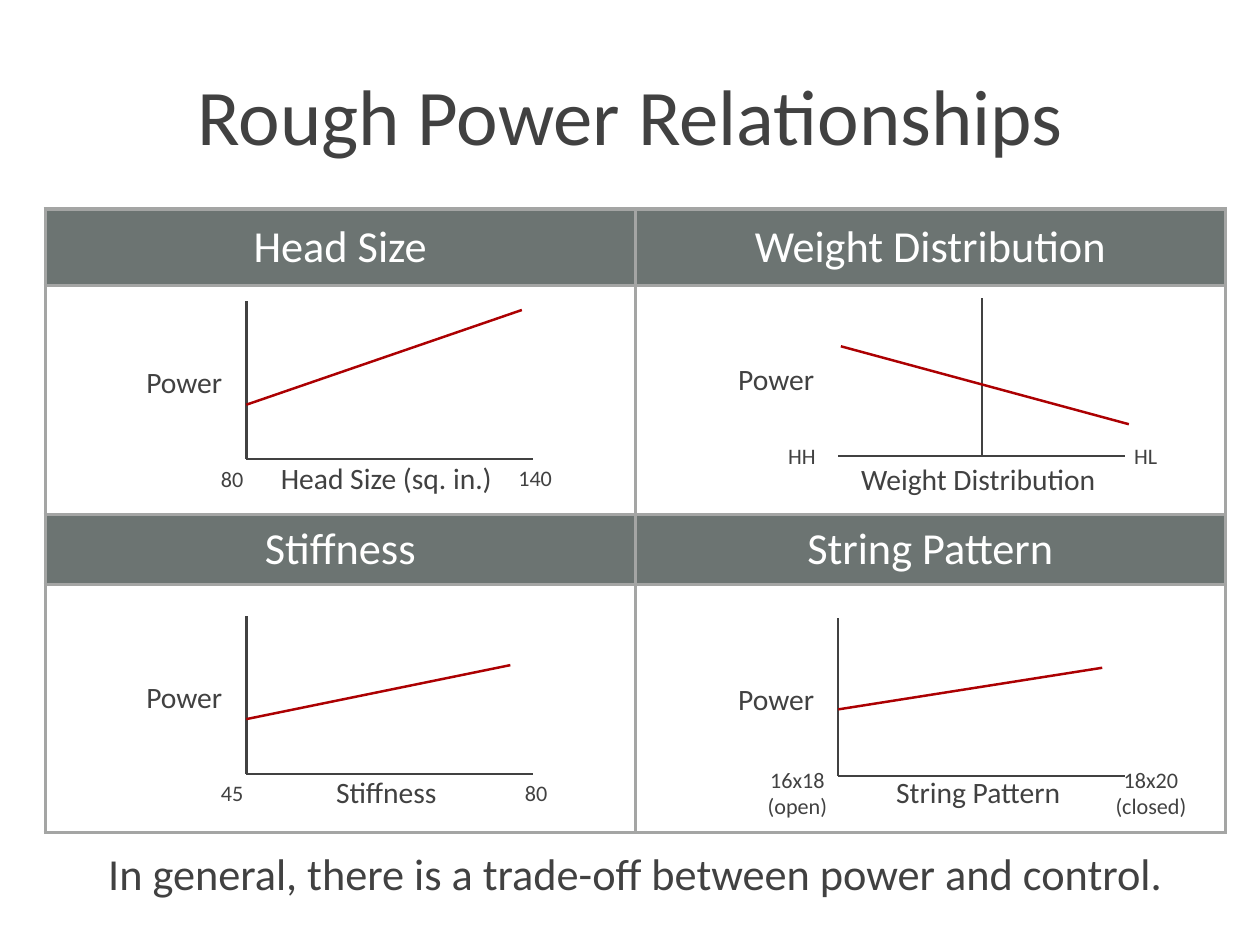
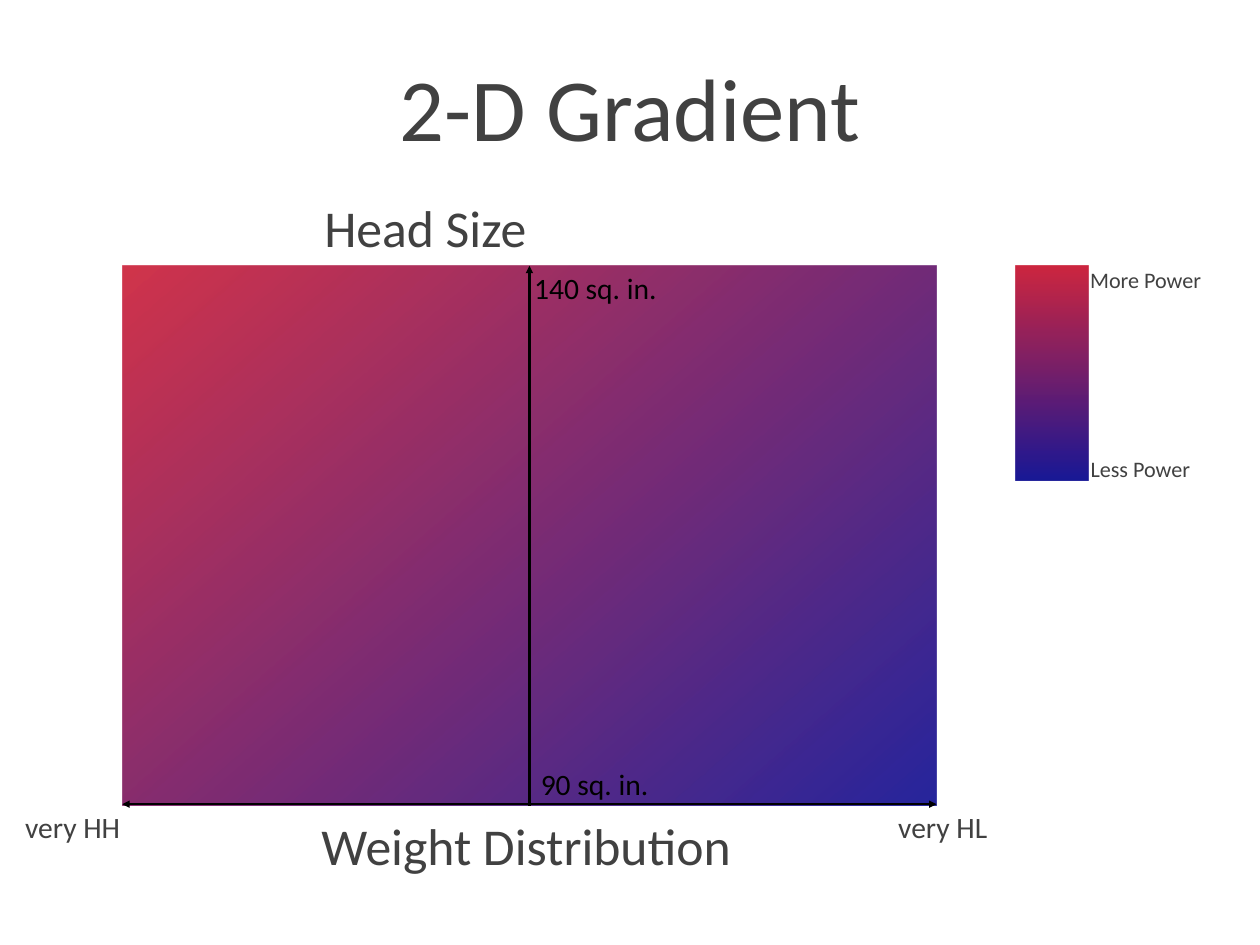
import pptx
import pptx.util
import pptx.dml.color
import pptx.enum.shapes
import pptx.enum.text
import pptx.oxml.ns
from lxml import etree

WIDTH, HEIGHT = 14.22, 10.67
FONT = "Calibri"
COLOURS = {"ink": "414141", "white": "FFFFFF", "band": "6C7472", "grid": "A4A5A4",
           "trend": "AC0002", "black": "000000"}
POWER_STOPS = [(0, "C9112C"), (51, "64085C"), (100, "00008C")]

TABLE_LEFT, TABLE_TOP, TABLE_WIDTH = 0.51, 2.36, 13.32
ROW_HEIGHTS = [0.86, 2.59, 0.79, 2.8]
HEADINGS = {0: ["Head Size", "Weight Distribution"], 2: ["Stiffness", "String Pattern"]}
CAPTION = "In general, there is a trade-off between power and control."

# All plot offsets are measured from the left end of the horizontal axis.
AXIS_WIDTH, AXIS_HEIGHT = 3.24, 1.78
POWER_OFFSET = (-0.7, -0.87)
NAME_OFFSET = 1.58
PLOTS = [
    {"name": "Head Size (sq. in.)", "origin": (2.78, 5.18), "upright": 0, "name_drop": 0.21,
     "trend": [(0, -0.61), (3.11, -1.68)],
     "ends": [("80", -0.16, 0.23), ("140", 3.26, 0.21)]},
    {"name": "Weight Distribution", "origin": (9.46, 5.15), "upright": 0.5, "name_drop": 0.25,
     "trend": [(0.03, -1.24), (3.28, -0.36)],
     "ends": [("HH", -0.41, 0), ("HL", 3.47, 0)]},
    {"name": "Stiffness", "origin": (2.78, 8.74), "upright": 0, "name_drop": 0.2,
     "trend": [(0, -0.62), (2.98, -1.23)],
     "ends": [("45", -0.16, 0.21), ("80", 3.27, 0.21)]},
    {"name": "String Pattern", "origin": (9.46, 8.76), "upright": 0, "name_drop": 0.18,
     "trend": [(0, -0.75), (2.98, -1.22)],
     "ends": [("16x18\n(open)", -0.46, 0.19), ("18x20\n(closed)", 3.53, 0.19)]},
]

MAP_LEFT, MAP_TOP, MAP_WIDTH, MAP_HEIGHT = 1.38, 3, 9.19, 6.1
KEY_LEFT, KEY_WIDTH, KEY_HEIGHT = 11.46, 0.83, 2.43
# Text, centre x, centre y, size, colour
MAP_LABELS = [
    ("Head Size", 4.8, 2.56, 42, "ink"),
    ("Weight Distribution", 5.94, 9.54, 42, "ink"),
    ("very HH", 0.82, 9.33, 24, "ink"),
    ("very HL", 10.64, 9.33, 24, "ink"),
    ("140 sq. in.", 6.72, 3.25, 24, "black"),
    ("90 sq. in.", 6.71, 8.85, 24, "black"),
    ("More Power", 12.93, 3.16, 18, "ink"),
    ("Less Power", 12.87, 5.29, 18, "ink"),
]

inch = pptx.util.Inches
qn = pptx.oxml.ns.qn


def rgb(name):
    return pptx.dml.color.RGBColor.from_string(COLOURS[name])


def add_centred_text(paragraph, text, size, colour):
    paragraph.alignment = pptx.enum.text.PP_ALIGN.CENTER
    for number, line in enumerate(text.split("\n")):
        if number:
            paragraph.add_line_break()
        run = paragraph.add_run()
        run.text = line
        run.font.name = FONT
        run.font.size = pptx.util.Pt(size)
        run.font.color.rgb = rgb(colour)


def write(frame, text, size, colour, inset=0.0, wrap=True):
    frame.margin_left = frame.margin_right = inch(inset)
    frame.margin_top = frame.margin_bottom = inch(inset)
    frame.word_wrap = wrap
    frame.vertical_anchor = pptx.enum.text.MSO_ANCHOR.MIDDLE
    add_centred_text(frame.paragraphs[0], text, size, colour)


def add_titled_slide(deck, title, size, height):
    slide = deck.slides.add_slide(deck.slide_layouts[5])
    heading = slide.shapes.title
    heading.left, heading.top = inch(0.39), inch(0.28)
    heading.width, heading.height = inch(13.44), inch(height)
    write(heading.text_frame, title, size, "ink", 0.06)
    heading.text_frame.auto_size = pptx.enum.text.MSO_AUTO_SIZE.NONE
    return slide


def add_label(slide, text, centre_x, centre_y, size, colour="ink"):
    """Place unwrapped text around a centre point, in a box with room to spare."""
    lines = text.split("\n")
    width = (max(map(len, lines)) + 2) * size * 0.0072
    height = len(lines) * size / 60
    box = slide.shapes.add_textbox(inch(centre_x - width / 2), inch(centre_y - height / 2),
                                   inch(width), inch(height))
    write(box.text_frame, text, size, colour, wrap=False)


def add_line(slide, start, end, colour, arrows=()):
    line = slide.shapes.add_connector(pptx.enum.shapes.MSO_CONNECTOR.STRAIGHT,
                                      *map(inch, (*start, *end)))
    line.line.color.rgb = rgb(colour)
    line.line.width = pptx.util.Pt(2)
    properties = line._element.spPr
    for arrow in arrows:
        etree.SubElement(properties.find(qn("a:ln")), qn("a:" + arrow), type="triangle")
    etree.SubElement(properties, qn("a:effectLst"))


def add_gradient(slide, left, top, width, height, angle, opacity):
    """Draw a power gradient; the angle runs clockwise, the opacity is in percent."""
    area = slide.shapes.add_shape(pptx.enum.shapes.MSO_SHAPE.RECTANGLE,
                                  *map(inch, (left, top, width, height)))
    area.shadow.inherit = False
    area.line.fill.background()
    area.fill.gradient()
    area.fill.gradient_angle = 360 - angle
    stops = area._element.spPr.find(".//" + qn("a:gsLst"))
    for stop in list(stops):
        stops.remove(stop)
    for position, colour in POWER_STOPS:
        stop = etree.SubElement(stops, qn("a:gs"), pos=str(position * 1000))
        shade = etree.SubElement(stop, qn("a:srgbClr"), val=colour)
        etree.SubElement(shade, qn("a:alpha"), val=str(opacity * 1000))


def add_borders(cell):
    properties = cell._tc.get_or_add_tcPr()
    for side in ("lnL", "lnR", "lnT", "lnB"):
        border = etree.SubElement(properties, qn("a:" + side), w=str(pptx.util.Pt(3)))
        fill = etree.SubElement(border, qn("a:solidFill"))
        etree.SubElement(fill, qn("a:srgbClr"), val=COLOURS["grid"])


def add_heading_table(slide):
    table = slide.shapes.add_table(len(ROW_HEIGHTS), 2, inch(TABLE_LEFT), inch(TABLE_TOP),
                                   inch(TABLE_WIDTH), inch(sum(ROW_HEIGHTS))).table
    table.first_row = table.horz_banding = False
    for row, height in enumerate(ROW_HEIGHTS):
        table.rows[row].height = inch(height)
        for column in range(2):
            cell = table.cell(row, column)
            add_borders(cell)
            if row not in HEADINGS:
                cell.fill.background()
                continue
            cell.fill.solid()
            cell.fill.fore_color.rgb = rgb("band")
            cell.margin_left = cell.margin_right = inch(0.06)
            cell.margin_top = cell.margin_bottom = inch(0.06)
            cell.vertical_anchor = pptx.enum.text.MSO_ANCHOR.MIDDLE
            add_centred_text(cell.text_frame.paragraphs[0], HEADINGS[row][column], 36, "white")


def add_plot(slide, plot):
    x, y = plot["origin"]
    upright = x + plot["upright"] * AXIS_WIDTH
    add_line(slide, (upright, y - AXIS_HEIGHT), (upright, y), "ink")
    add_line(slide, (x, y), (x + AXIS_WIDTH, y), "ink")
    add_line(slide, *[(x + dx, y + dy) for dx, dy in plot["trend"]], "trend")
    add_label(slide, "Power", x + POWER_OFFSET[0], y + POWER_OFFSET[1], 24)
    add_label(slide, plot["name"], x + NAME_OFFSET, y + plot["name_drop"], 24)
    for text, dx, dy in plot["ends"]:
        add_label(slide, text, x + dx, y + dy, 18)


def build_relationships(deck):
    slide = add_titled_slide(deck, "Rough Power Relationships", 64, 2.01)
    add_heading_table(slide)
    caption = slide.shapes.add_textbox(*map(inch, (TABLE_LEFT, 9.52, TABLE_WIDTH, 0.68)))
    write(caption.text_frame, CAPTION, 36, "ink")
    for plot in PLOTS:
        add_plot(slide, plot)


def build_gradient(deck):
    slide = add_titled_slide(deck, "2-D Gradient", 72, 1.83)
    add_gradient(slide, MAP_LEFT, MAP_TOP, MAP_WIDTH, MAP_HEIGHT, 49, 85)
    add_gradient(slide, KEY_LEFT, MAP_TOP, KEY_WIDTH, KEY_HEIGHT, 90, 90)
    right, bottom = MAP_LEFT + MAP_WIDTH, MAP_TOP + MAP_HEIGHT
    middle = MAP_LEFT + MAP_WIDTH / 2
    add_line(slide, (MAP_LEFT, bottom - 0.02), (right, bottom - 0.02), "black",
             ("headEnd", "tailEnd"))
    add_line(slide, (middle, MAP_TOP), (middle, bottom), "black", ("headEnd",))
    for label in MAP_LABELS:
        add_label(slide, *label)


def main():
    deck = pptx.Presentation()
    deck.slide_width, deck.slide_height = inch(WIDTH), inch(HEIGHT)
    build_relationships(deck)
    build_gradient(deck)
    deck.save("out.pptx")


if __name__ == "__main__":
    main()
